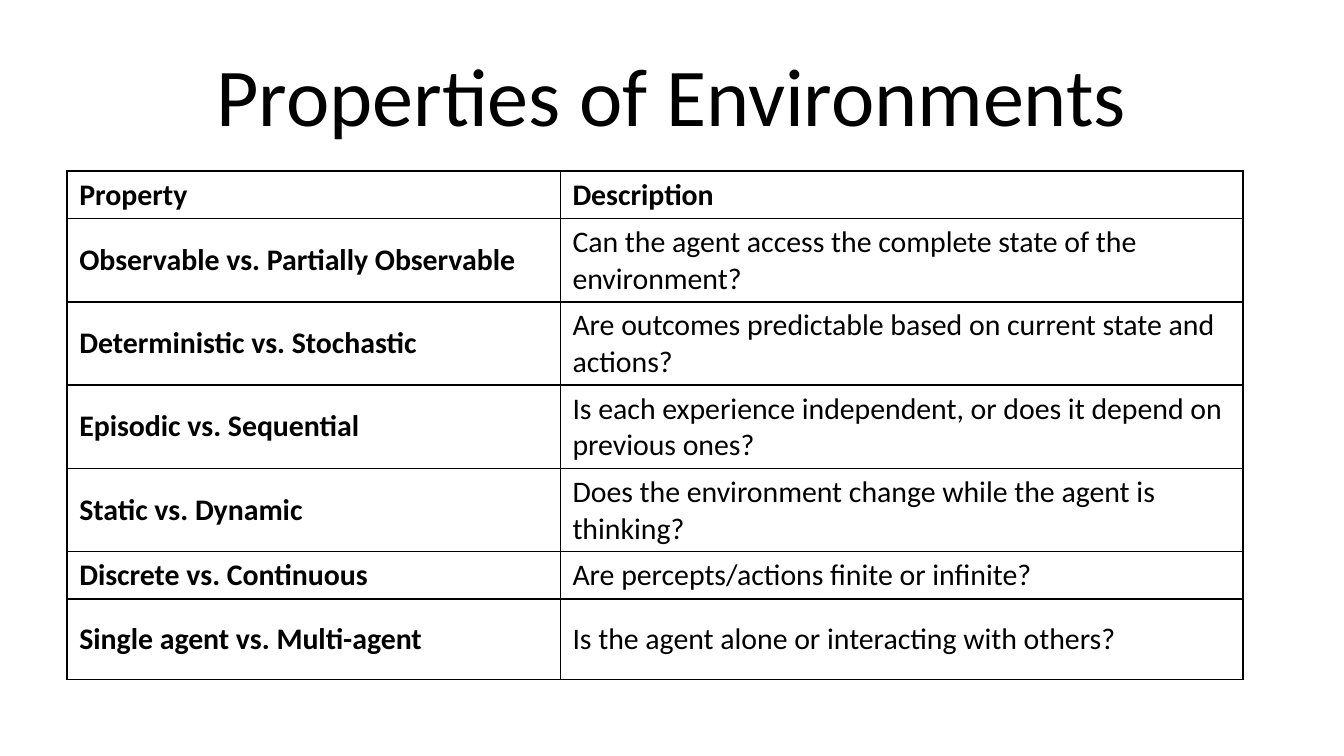
from lxml.etree import SubElement
from pptx import Presentation
from pptx.dml.color import RGBColor
from pptx.enum.text import MSO_ANCHOR, PP_ALIGN
from pptx.oxml.ns import qn
from pptx.util import Cm, Pt

BLACK = RGBColor(0x00, 0x00, 0x00)
WHITE = RGBColor(0xFF, 0xFF, 0xFF)

PROPERTIES = [
    ("Property", "Description"),
    ("Observable vs. Partially Observable",
     "Can the agent access the complete state of the environment?"),
    ("Deterministic vs. Stochastic",
     "Are outcomes predictable based on current state and actions?"),
    ("Episodic vs. Sequential",
     "Is each experience independent, or does it depend on previous ones?"),
    ("Static vs. Dynamic",
     "Does the environment change while the agent is thinking?"),
    ("Discrete vs. Continuous", "Are percepts/actions finite or infinite?"),
    ("Single agent vs. Multi-agent",
     "Is the agent alone or interacting with others?"),
]
COLUMN_WIDTHS = [9.32, 12.9]
SHORT, TALL = 0.89, 1.52
ROW_HEIGHTS = [SHORT, TALL, TALL, TALL, TALL, SHORT, TALL]


class SlideBuilder:
    """Holds the style and the current slide."""

    font_name = "Calibri"
    title_size = Pt(44)
    table_size = Pt(16)
    border_width = Pt(1)
    cell_format = {
        "vertical_anchor": MSO_ANCHOR.MIDDLE,
        "margin_left": Cm(0.23),
        "margin_right": Cm(0.23),
        "margin_top": Cm(0.11),
        "margin_bottom": Cm(0.11),
    }

    def __init__(self, presentation):
        self.slide = presentation.slides.add_slide(presentation.slide_layouts[6])

    def apply(self, target, settings):
        for name, value in settings.items():
            setattr(target, name, value)

    def add_text(self, paragraph, text, size, bold=False):
        run = paragraph.add_run()
        run.text = text
        self.apply(run.font, {"name": self.font_name, "size": size, "bold": bold})
        run.font.color.rgb = BLACK

    def title(self, text, left, top, width, height):
        frame = self.slide.shapes.add_textbox(
            Cm(left), Cm(top), Cm(width), Cm(height)).text_frame
        self.apply(frame, {"word_wrap": True, "vertical_anchor": MSO_ANCHOR.MIDDLE})
        heading = frame.paragraphs[0]
        heading.alignment = PP_ALIGN.CENTER
        self.add_text(heading, text, self.title_size)

    def borders(self, cell):
        properties = cell._tc.get_or_add_tcPr()
        for position, side in enumerate(("a:lnL", "a:lnR", "a:lnT", "a:lnB")):
            line = SubElement(properties, qn(side), w=str(self.border_width))
            properties.insert(position, line)
            fill = SubElement(line, qn("a:solidFill"))
            SubElement(fill, qn("a:srgbClr"), val=str(BLACK))

    def table(self, rows, left, top, widths, heights):
        table = self.slide.shapes.add_table(
            len(rows), len(widths), Cm(left), Cm(top),
            Cm(sum(widths)), Cm(sum(heights))).table
        self.apply(table, {"first_row": False, "horz_banding": False})
        for column, width in zip(table.columns, widths):
            column.width = Cm(width)
        for row, height in zip(table.rows, heights):
            row.height = Cm(height)

        for row_number, texts in enumerate(rows):
            for column_number, text in enumerate(texts):
                cell = table.cell(row_number, column_number)
                self.apply(cell, self.cell_format)
                cell.fill.solid()
                cell.fill.fore_color.rgb = WHITE
                self.borders(cell)
                # Header row and property names are bold
                self.add_text(cell.text_frame.paragraphs[0], text, self.table_size,
                              bold=row_number == 0 or column_number == 0)


def main():
    presentation = Presentation()
    presentation.slide_width = Cm(25.4)
    presentation.slide_height = Cm(14.29)
    builder = SlideBuilder(presentation)

    # Heading
    builder.title("Properties of Environments", 1.27, 0.58, 22.86, 2.39)

    # Table of environment properties
    builder.table(PROPERTIES, 1.27, 3.23, COLUMN_WIDTHS, ROW_HEIGHTS)

    presentation.save("out.pptx")


if __name__ == "__main__":
    main()
